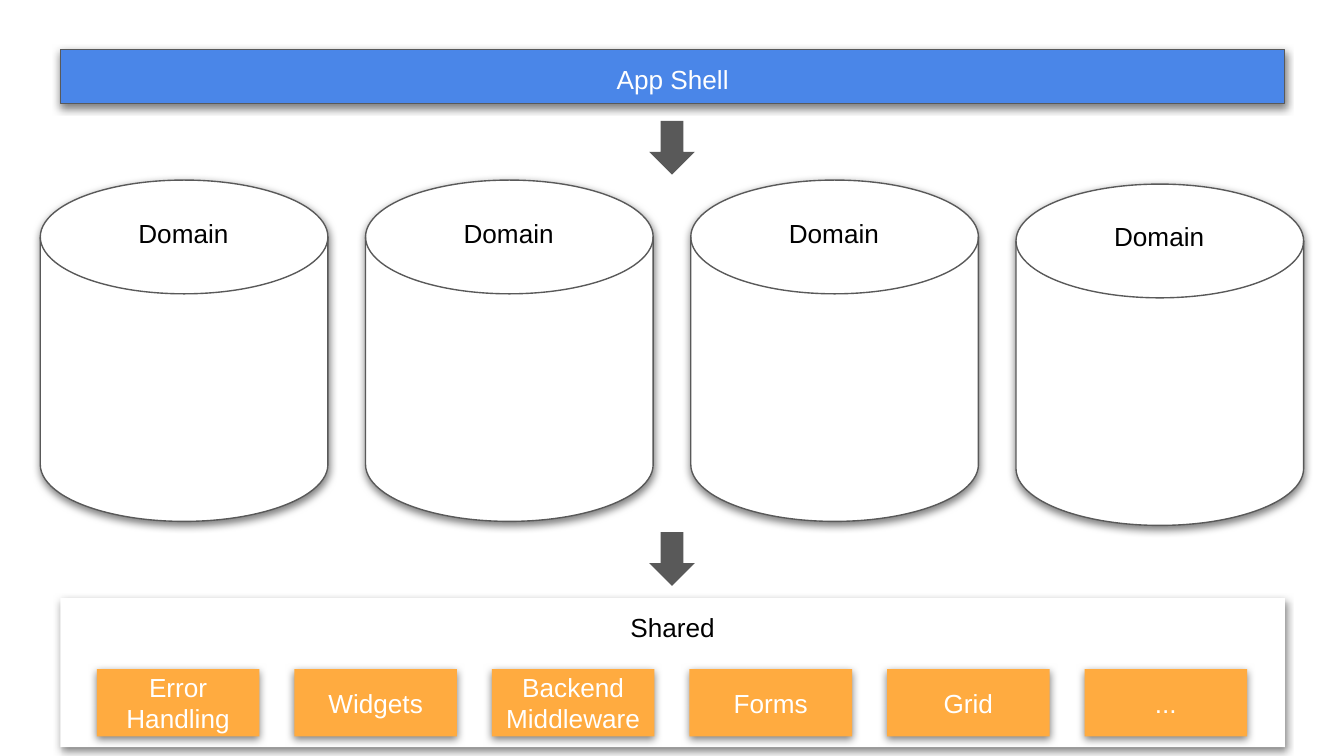
"""Builds the app architecture slide: shell, domains and shared parts."""
from lxml import etree
from pptx import Presentation
from pptx.dml.color import RGBColor
from pptx.enum.shapes import MSO_SHAPE
from pptx.enum.text import MSO_ANCHOR, PP_ALIGN
from pptx.oxml.ns import qn
from pptx.util import Inches, Pt

RECT = MSO_SHAPE.RECTANGLE
DISK = MSO_SHAPE.FLOWCHART_MAGNETIC_DISK
ARROW = MSO_SHAPE.DOWN_ARROW
TOP, MIDDLE = MSO_ANCHOR.TOP, MSO_ANCHOR.MIDDLE
CENTER = PP_ALIGN.CENTER

COLORS = {
    "white": "FFFFFF",
    "black": "000000",
    "gray": "595959",
    "blue": "4A86E8",
    "orange": "FFAB40",
}
PARTS = ["Error Handling", "Widgets", "Backend Middleware", "Forms", "Grid", "..."]
TOPS = [(1.34, 1.52), (1.34, 1.52), (1.34, 1.52), (1.37, 1.54)]


def color(name):
    return RGBColor.from_string(COLORS[name])


def add_shadow(shape):
    effects = shape._element.spPr.find(qn("a:effectLst"))
    outer = etree.SubElement(
        effects, qn("a:outerShdw"), blurRad=str(Pt(4.5)), dist=str(Pt(1.5)),
        dir="5400000", algn="bl", rotWithShape="0")
    tone = etree.SubElement(outer, qn("a:srgbClr"), val=COLORS["black"])
    etree.SubElement(tone, qn("a:alpha"), val="50000")


def add_shape(shapes, kind, box, fill, line=None, shadow=True):
    shape = shapes.add_shape(kind, *map(Inches, box))
    shape.fill.solid()
    shape.fill.fore_color.rgb = color(fill)
    if line:
        shape.line.color.rgb = color(line)
        shape.line.width = Pt(0.75)
    else:
        shape.line.fill.background()
    shape.shadow.inherit = False
    if shadow:
        add_shadow(shape)
    return shape


def set_text(shape, text, ink, anchor=TOP):
    frame = shape.text_frame
    frame.word_wrap = True
    frame.vertical_anchor = anchor
    frame.margin_left = frame.margin_right = Inches(0.1)
    frame.margin_top = frame.margin_bottom = Inches(0.1)
    para = frame.paragraphs[0]
    para.alignment = CENTER
    run = para.add_run()
    run.text = text
    run.font.name = "Arial"
    run.font.size = Pt(14)
    run.font.color.rgb = color(ink)


def add_domain(shapes, left, top, text_top):
    add_shape(shapes, DISK, (left, top, 2.14, 2.54), "white", "gray")
    label = shapes.add_textbox(*map(Inches, (left + 0.59, text_top, 0.95, 0.44)))
    set_text(label, "Domain", "black")


def add_shared(shapes):
    group = shapes.add_group_shape().shapes
    panel = add_shape(group, RECT, (0.45, 4.45, 9.11, 1.11), "white")
    set_text(panel, "Shared", "black")
    for i, name in enumerate(PARTS):
        part = add_shape(group, RECT, (0.72 + 1.47 * i, 4.98, 1.21, 0.5), "orange")
        set_text(part, name, "white", MIDDLE)


def main():
    deck = Presentation()
    deck.slide_width = Inches(10)
    deck.slide_height = deck.slide_width * 9 // 16
    shapes = deck.slides.add_slide(deck.slide_layouts[6]).shapes
    for i, (top, text_top) in enumerate(TOPS):
        add_domain(shapes, 0.3 + 2.42 * i, top, text_top)
    add_shared(shapes)
    shell = add_shape(shapes, RECT, (0.45, 0.37, 9.11, 0.4), "blue", "gray")
    set_text(shell, "App Shell", "white")
    for top in (0.9, 3.96):
        add_shape(shapes, ARROW, (4.83, top, 0.34, 0.4), "gray", shadow=False)
    deck.save("out.pptx")


if __name__ == "__main__":
    main()
